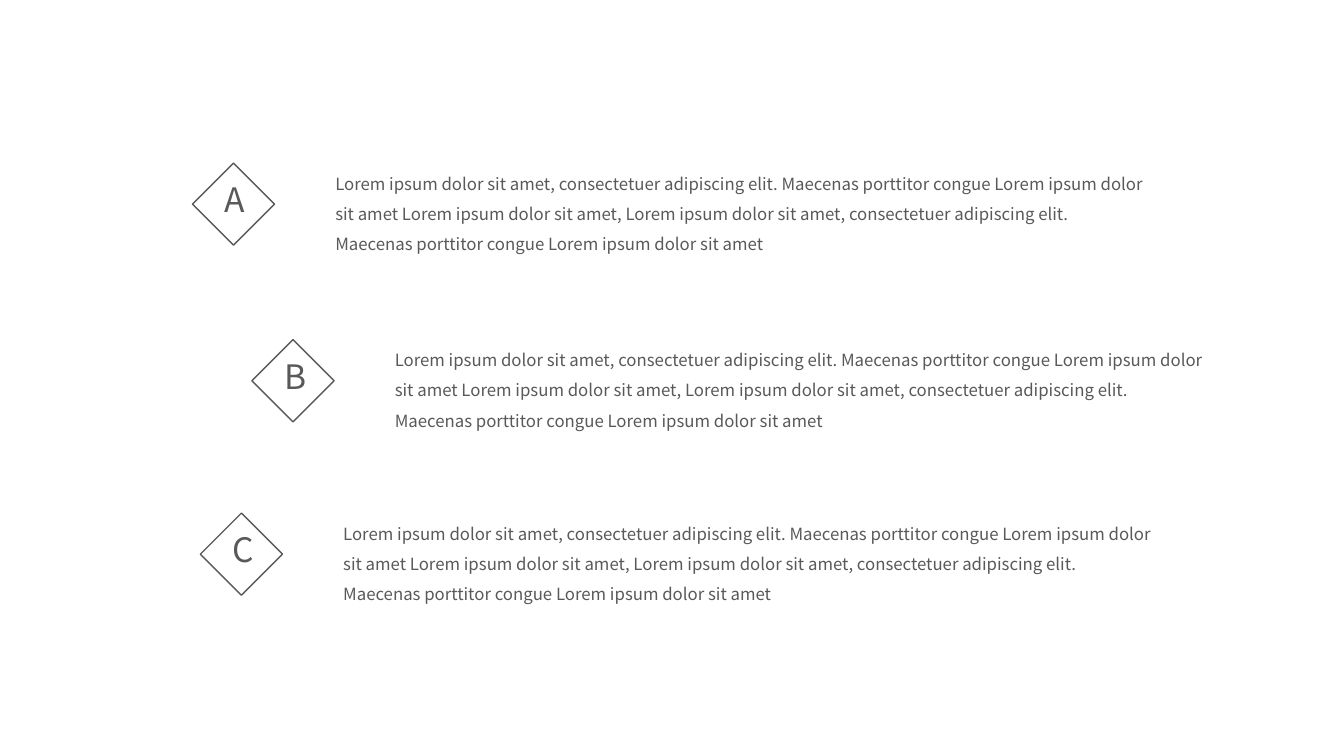
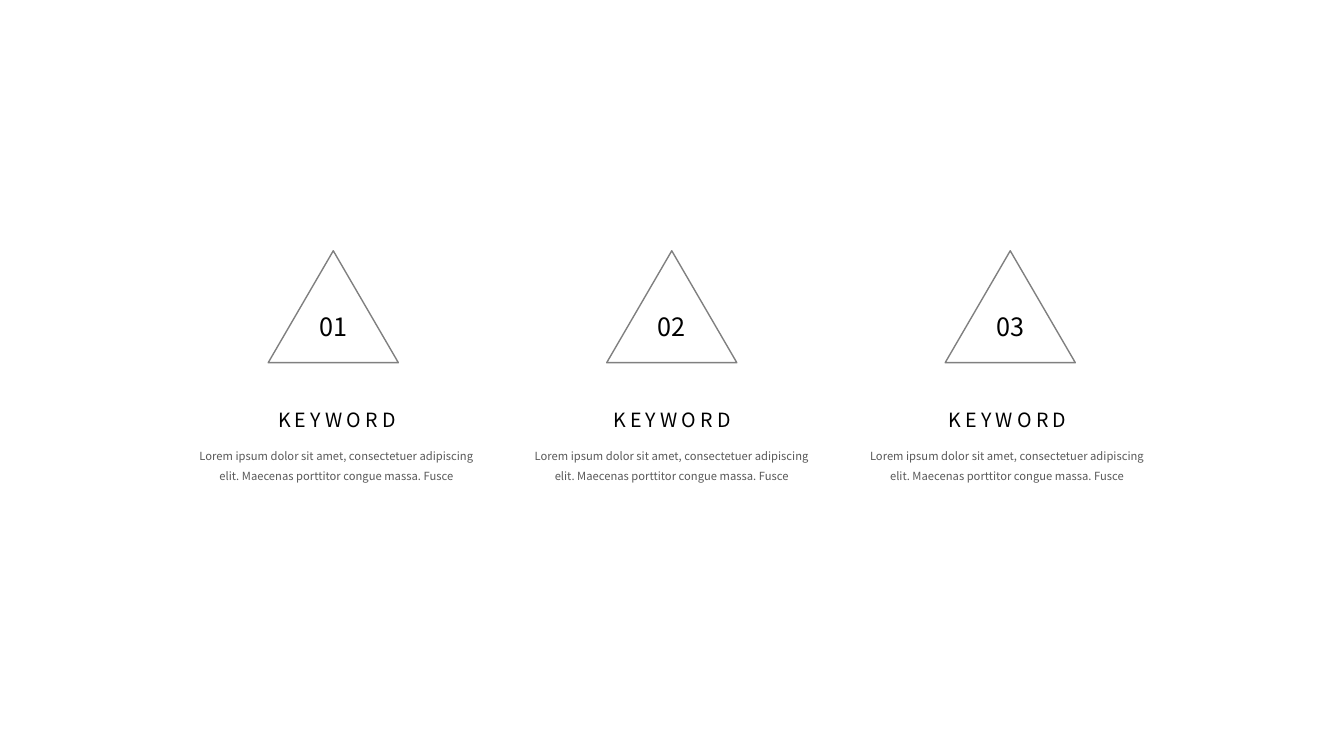
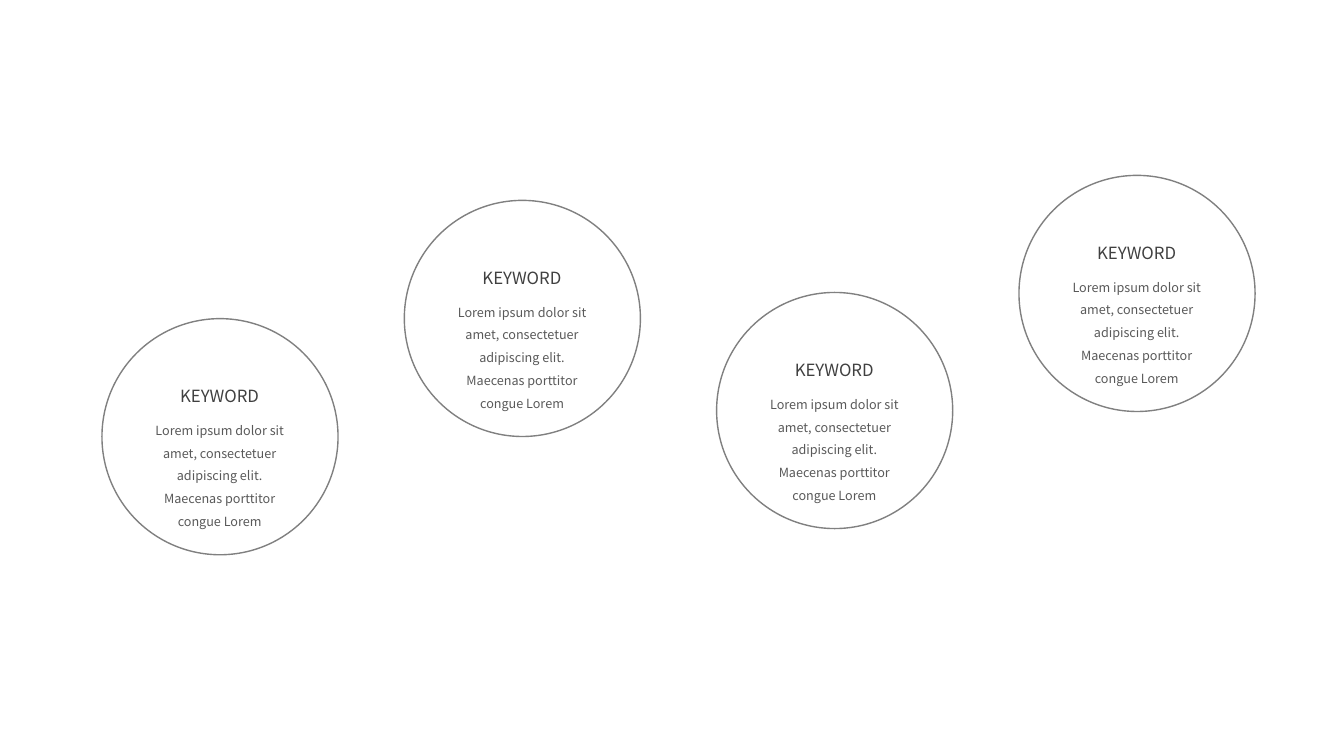
from pptx import Presentation
from pptx.dml.color import RGBColor
from pptx.enum.shapes import MSO_SHAPE
from pptx.enum.text import MSO_AUTO_SIZE, PP_ALIGN
from pptx.util import Cm, Pt

FONT = "Noto Sans CJK SC"
COLORS = {
    "black": "000000",
    "heading": "404040",
    "body": "595959",
    "outline": "808080",
}
LOREM = "Lorem ipsum dolor sit amet, consectetuer adipiscing elit. Maecenas porttitor congue"
PARAGRAPH = (
    f"{LOREM} Lorem ipsum dolor sit amet Lorem ipsum dolor sit amet, "
    f"{LOREM} Lorem ipsum dolor sit amet"
)


def color(name):
    return RGBColor.from_string(COLORS[name])


def add_outline(shapes, preset, left, top, width, height, line_color):
    shape = shapes.add_shape(preset, Cm(left), Cm(top), Cm(width), Cm(height))
    shape.shadow.inherit = False
    shape.fill.background()
    shape.line.color.rgb = color(line_color)
    shape.line.width = Pt(1)


def add_text(shapes, text, left, top, width, height, size, color_name,
             align=PP_ALIGN.LEFT, wrap=True, line_spacing=None, tracking=None):
    """Add a one-paragraph text box; tracking is extra letter spacing in points."""
    box = shapes.add_textbox(Cm(left), Cm(top), Cm(width), Cm(height))
    text_frame = box.text_frame
    text_frame.word_wrap = wrap
    text_frame.auto_size = MSO_AUTO_SIZE.SHAPE_TO_FIT_TEXT
    paragraph = text_frame.paragraphs[0]
    paragraph.text = text
    paragraph.alignment = align
    if line_spacing:
        paragraph.line_spacing = line_spacing
    run = paragraph.runs[0]
    run.font.name = FONT
    run.font.size = Pt(size)
    run.font.color.rgb = color(color_name)
    if tracking:
        run._r.get_or_add_rPr().set("spc", str(tracking * 100))


def add_lettered_row(slide, letter, letter_width, left, top):
    badge = slide.shapes.add_group_shape()
    add_outline(badge.shapes, MSO_SHAPE.DIAMOND, left, top, 2.07, 2.07, "body")
    add_text(badge.shapes, letter, left + 0.56, top + 0.28, letter_width, 1.27,
             24, "body", wrap=False)
    add_text(slide.shapes, PARAGRAPH, left + 3.35, top - 0.12, 20.9, 2.57,
             12, "body", line_spacing=1.5)


def add_numbered_triangle(slide, number, left, top):
    add_outline(slide.shapes, MSO_SHAPE.ISOSCELES_TRIANGLE, left, top, 3.28, 2.82, "outline")
    add_text(slide.shapes, number, left + 1.04, top + 1.4, 1.22, 1.02,
             18, "black", wrap=False)


def add_caption(slide, left, top):
    add_text(slide.shapes, "KEYWORD", left + 1.39, top, 4.8, 0.86,
             14, "black", PP_ALIGN.CENTER, tracking=3)
    add_text(slide.shapes, f"{LOREM} massa. Fusce", left, top + 0.86, 7.57, 1.22,
             8, "body", PP_ALIGN.CENTER, line_spacing=1.5)


def add_keyword_circle(slide, left, top):
    add_outline(slide.shapes, MSO_SHAPE.OVAL, left, top, 5.95, 5.95, "outline")
    add_text(slide.shapes, f"{LOREM} Lorem", left + 0.91, top + 2.31, 4.11, 2.49,
             9, "body", PP_ALIGN.CENTER, line_spacing=1.5)
    add_text(slide.shapes, "KEYWORD", left + 1.67, top + 1.57, 2.59, 0.76,
             12, "heading", PP_ALIGN.CENTER, wrap=False)


def build_lettered_slide(slide):
    rows = [("A", 1.07, 4.85, 4.11), ("B", 0.99, 6.35, 8.56), ("C", 1.07, 5.05, 12.93)]
    for letter, letter_width, left, top in rows:
        add_lettered_row(slide, letter, letter_width, left, top)


def build_triangle_slide(slide):
    for column in range(3):
        add_numbered_triangle(slide, f"{column + 1:02}", 6.76 + 8.53 * column, 6.32)
        add_caption(slide, 4.7 + 8.45 * column, 10.16)


def build_circle_slide(slide):
    for left, top in [(2.57, 8.03), (10.19, 5.05), (18.06, 7.37), (25.68, 4.42)]:
        add_keyword_circle(slide, left, top)


def main():
    presentation = Presentation()
    presentation.slide_width = Cm(33.87)
    presentation.slide_height = Cm(19.05)
    blank_layout = presentation.slide_layouts[6]
    for build in (build_lettered_slide, build_triangle_slide, build_circle_slide):
        build(presentation.slides.add_slide(blank_layout))
    presentation.save("out.pptx")


if __name__ == "__main__":
    main()
